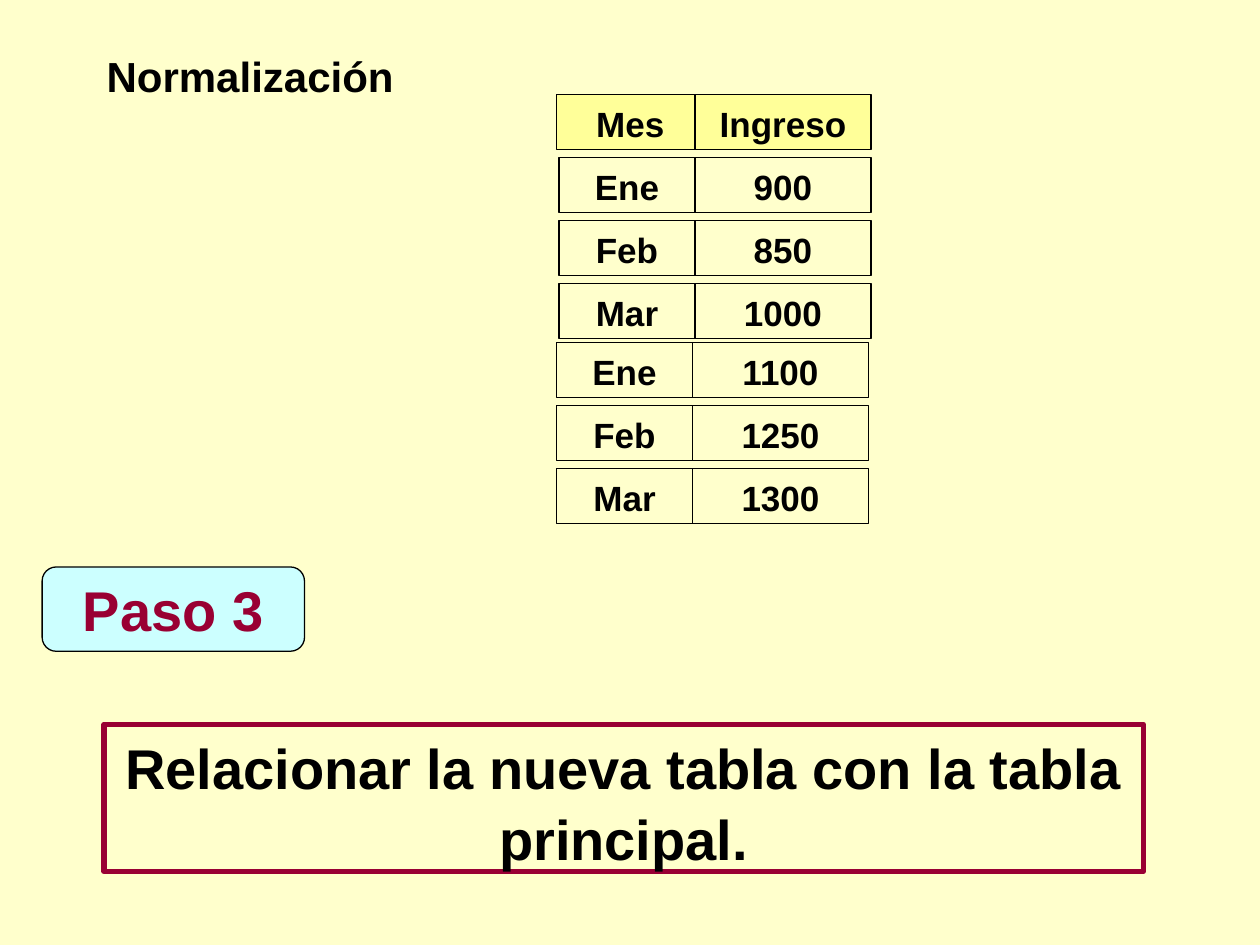
from pptx import Presentation
from pptx.dml.color import RGBColor
from pptx.enum.shapes import MSO_SHAPE
from pptx.enum.text import MSO_ANCHOR, PP_ALIGN
from pptx.util import Cm, Pt

HUES = {"page": "FFFFCC", "head": "FFFF99", "step": "CCFFFF",
        "ink": "000000", "wine": "990033"}
ROWS = [("Ene", "900"), ("Feb", "850"), ("Mar", "1000"),
        ("Ene", "1100"), ("Feb", "1250"), ("Mar", "1300")]
GROUP = 3  # rows in each block of months


def hue(name):
    return RGBColor.from_string(HUES[name])


def write(shape, text, size, ink="ink", align=PP_ALIGN.CENTER,
          anchor=MSO_ANCHOR.TOP, wrap=True, lead=1.05):
    frame = shape.text_frame
    frame.word_wrap = wrap
    frame.vertical_anchor = anchor
    para = frame.paragraphs[0]
    para.text = text
    para.alignment = align
    para.line_spacing = lead
    look = {"name": "Arial", "size": Pt(size), "bold": True}
    for key, value in look.items():
        setattr(para.font, key, value)
    para.font.color.rgb = hue(ink)


def panel(slide, box, fill=None, line="ink", width=0.75,
          kind=MSO_SHAPE.RECTANGLE):
    shape = slide.shapes.add_shape(kind, *map(Cm, box))
    shape.shadow.inherit = False
    if fill:
        shape.fill.solid()
        shape.fill.fore_color.rgb = hue(fill)
    else:
        shape.fill.background()
    shape.line.color.rgb = hue(line)
    shape.line.width = Pt(width)
    return shape


def title(slide, box):
    shape = slide.shapes.add_textbox(*map(Cm, box))
    write(shape, "Normalización", 24, align=PP_ALIGN.LEFT)


def goal(slide, box):
    shape = panel(slide, box, line="wine", width=3)
    write(shape, "Relacionar la nueva tabla con la tabla principal.", 32)


def step(slide, box):
    shape = panel(slide, box, "step", kind=MSO_SHAPE.ROUNDED_RECTANGLE)
    write(shape, "Paso 3", 32, "wine", anchor=MSO_ANCHOR.MIDDLE,
          wrap=False, lead=1)


def pair(slide, box, texts, split, fill=None, lap=0):
    """Draw two cells that meet at split; the left one runs lap further."""
    left, top, width, height = box
    spans = [(left, split - left + lap), (split, left + width - split)]
    for (start, span), text in zip(spans, texts):
        write(panel(slide, (start, top, span, height), fill), text, 20)


def income(slide, box):
    """Draw the heading and two blocks of separate, slightly offset rows."""
    left, top, width, height = box
    pitch, shift, tall = 1.27, 0.05, 1.12
    split = left + 2.79
    pair(slide, (left, top, width, tall), ("Mes", "Ingreso"), split,
         "head", 0.18)
    last = top + height - tall - (GROUP - 1) * pitch
    blocks = [(shift, top + pitch), (0, last)]
    for block, (move, start) in enumerate(blocks):
        rows = ROWS[block * GROUP:(block + 1) * GROUP]
        for index, texts in enumerate(rows):
            area = (left + move, start + index * pitch, width - shift, tall)
            pair(slide, area, texts, split - shift + move)


def main():
    deck = Presentation()
    deck.slide_width, deck.slide_height = Cm(25.4), Cm(19.05)
    slide = deck.slides.add_slide(deck.slide_layouts[6])
    slide.background.fill.solid()
    slide.background.fill.fore_color.rgb = hue("page")
    title(slide, (1.9, 0.85, 7.2, 1.27))
    goal(slide, (2.1, 14.6, 20.95, 2.97))
    step(slide, (0.85, 11.43, 5.29, 1.7))
    income(slide, (11.22, 1.9, 6.34, 8.66))
    deck.save("out.pptx")


if __name__ == "__main__":
    main()
